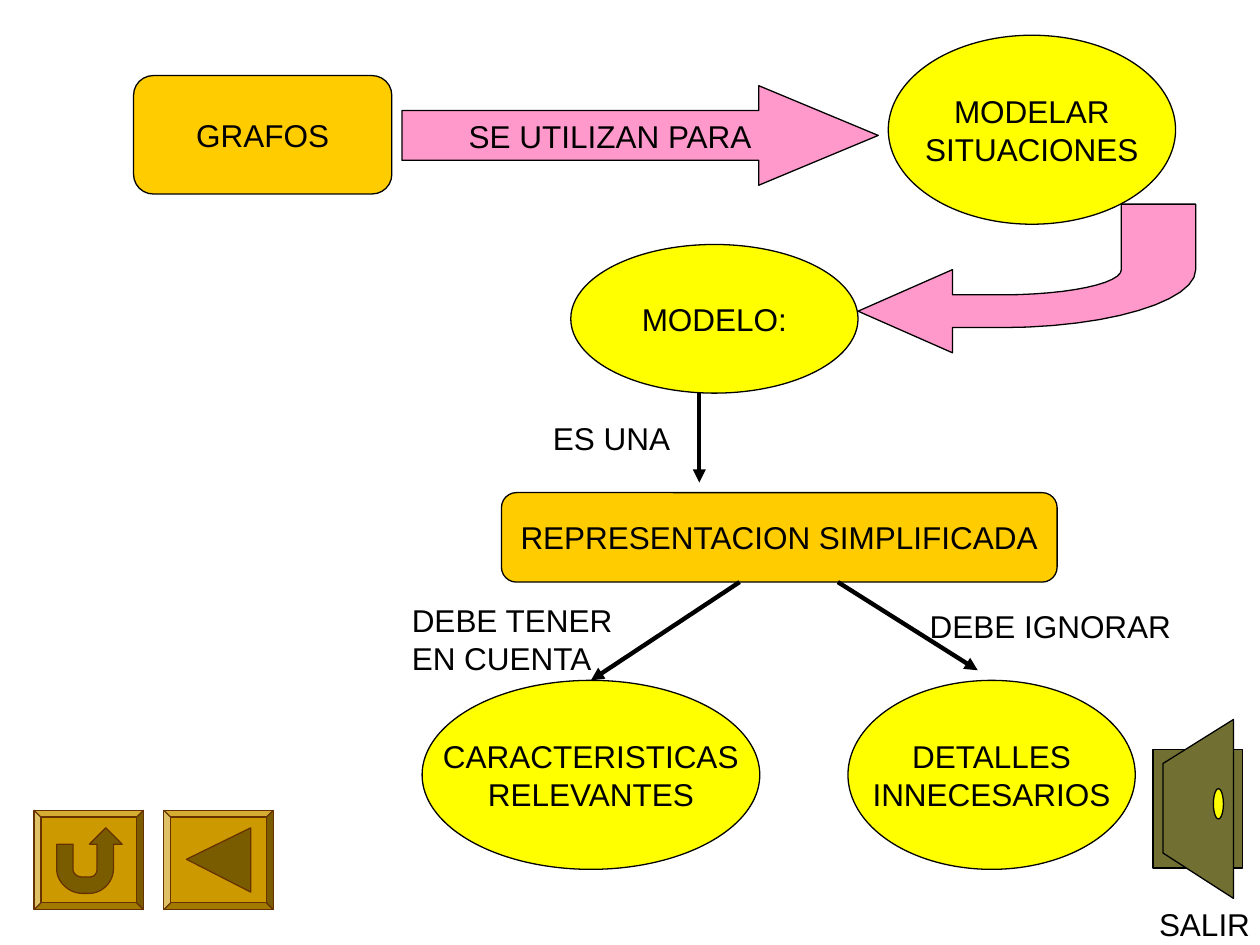
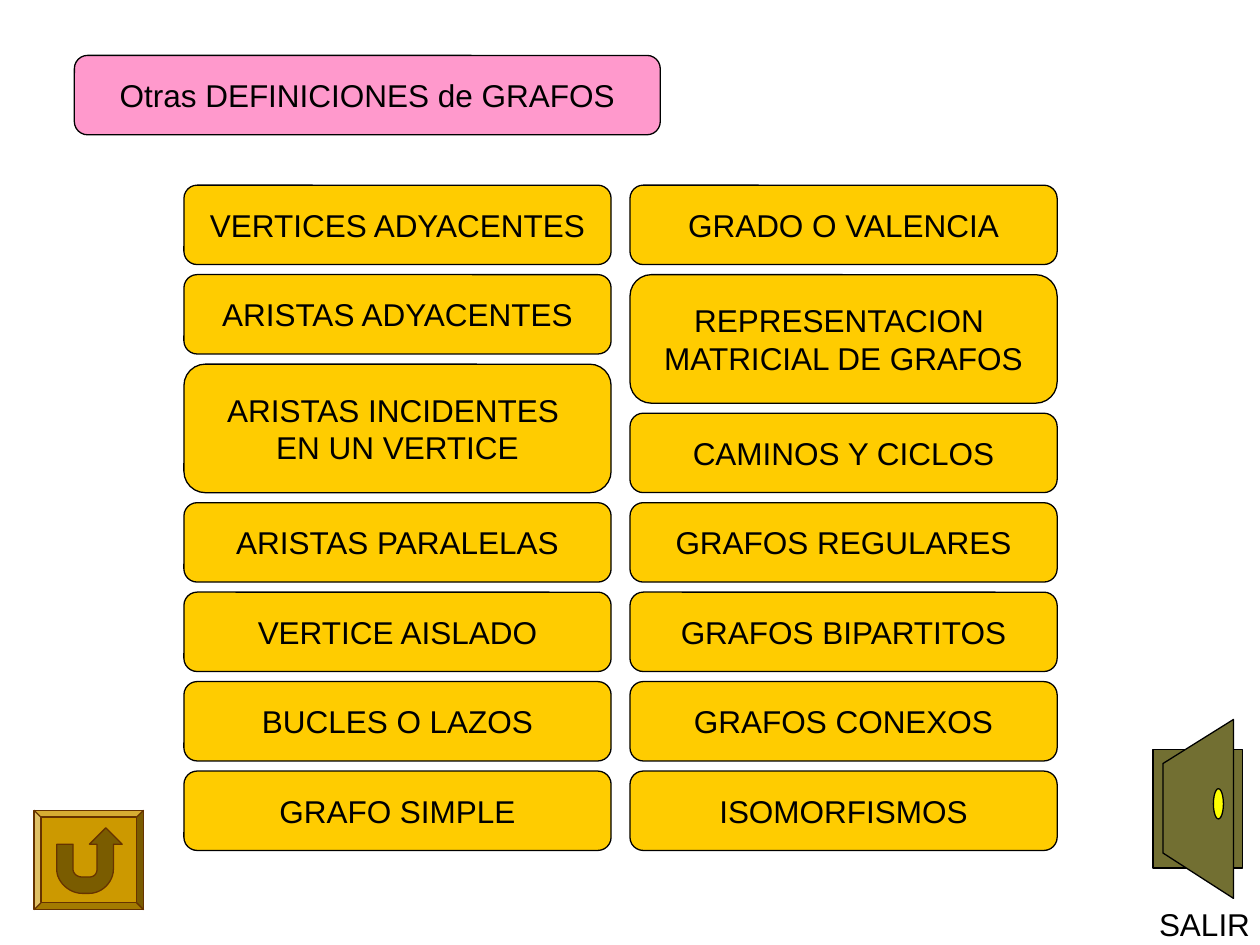
import pptx
import pptx.util
import pptx.dml.color
import pptx.enum.shapes
import pptx.enum.text
import lxml.etree

SHAPES = pptx.enum.shapes.MSO_SHAPE
ALIGN = pptx.enum.text.PP_ALIGN
inch = pptx.util.Inches

FONT, TEXT_SIZE = "Arial", 18
BLACK, ORANGE, YELLOW, PINK = "000000", "FFCC00", "FFFF00", "FF99CC"
OLIVE, GOLD, BROWN, DARK_GOLD = "726F32", "CC9900", "663300", "7A5C00"

# Concept map: preset, fill, (left, top, width, height), text
CONCEPTS = [
    (SHAPES.ROUNDED_RECTANGLE, ORANGE, (1.06, 0.6, 2.05, 0.94), "GRAFOS"),
    (SHAPES.RIGHT_ARROW, PINK, (3.19, 0.68, 3.78, 0.79), "SE UTILIZAN PARA"),
    (SHAPES.OVAL, YELLOW, (7.05, 0.28, 2.28, 1.5), "MODELAR\nSITUACIONES"),
    (SHAPES.OVAL, YELLOW, (4.53, 1.94, 2.28, 1.18), "MODELO:"),
    (SHAPES.ROUNDED_RECTANGLE, ORANGE, (3.98, 3.91, 4.41, 0.71), "REPRESENTACION SIMPLIFICADA"),
    (SHAPES.OVAL, YELLOW, (3.35, 5.4, 2.68, 1.5), "CARACTERISTICAS\nRELEVANTES"),
    (SHAPES.OVAL, YELLOW, (6.73, 5.4, 2.28, 1.5), "DETALLES\nINNECESARIOS"),
]
ARROWS = [
    ((5.87, 4.62), (4.69, 5.4)),
    ((6.65, 4.62), (7.76, 5.32)),
    ((5.55, 3.12), (5.55, 3.83)),
]
LINK_LABELS = [
    ((3.17, 4.72, 1.86, 0.7), "DEBE TENER\nEN CUENTA"),
    ((7.28, 4.77, 2.13, 0.4), "DEBE IGNORAR"),
    ((4.29, 3.28, 1.13, 0.4), "ES UNA"),
]

# Outlines: two numbers are a corner, six are a Bezier curve
BENT_ARROW = [
    (9.49, 1.62), (9.49, 2.14), (9.49, 2.39, 8.8, 2.6, 7.95, 2.6), (7.56, 2.6),
    (7.56, 2.8), (6.81, 2.47), (7.56, 2.14), (7.56, 2.34), (7.95, 2.34),
    (8.48, 2.34, 8.9, 2.25, 8.9, 2.14), (8.9, 1.62),
]
DOOR_LEAF = [(9.79, 5.71), (9.79, 7.13), (9.23, 6.77), (9.23, 6.06)]
RETURN_SIGN = [
    (0.18, 0.27), (0.31, 0.27), (0.31, 0.47), (0.31, 0.5, 0.34, 0.53, 0.38, 0.53),
    (0.44, 0.53), (0.48, 0.53, 0.5, 0.5, 0.5, 0.47), (0.5, 0.27), (0.44, 0.27),
    (0.57, 0.14), (0.7, 0.27), (0.63, 0.27), (0.63, 0.47),
    (0.63, 0.57, 0.54, 0.66, 0.44, 0.66), (0.38, 0.66),
    (0.28, 0.66, 0.18, 0.57, 0.18, 0.47),
]
BACK_SIGN = [(0.18, 0.39), (0.69, 0.14), (0.69, 0.65)]
BUTTON_TOP, BUTTON_SIZE = 6.43, (0.87, 0.79)
RETURN_LEFT, BACK_LEFT = 0.27, 1.3

DEFINITIONS_TITLE = "Otras DEFINICIONES de GRAFOS"
TITLE_PLACE = (0.59, 0.44, 4.65, 0.63)
DEFINITIONS = [
    ["VERTICES ADYACENTES", "ARISTAS ADYACENTES", "ARISTAS INCIDENTES \nEN UN VERTICE",
     "ARISTAS PARALELAS", "VERTICE AISLADO", "BUCLES O LAZOS", "GRAFO SIMPLE"],
    ["GRADO O VALENCIA", "REPRESENTACION \nMATRICIAL DE GRAFOS", "CAMINOS Y CICLOS",
     "GRAFOS REGULARES", "GRAFOS BIPARTITOS", "GRAFOS CONEXOS", "ISOMORFISMOS"],
]
GRID_LEFT, GRID_TOP, COLUMN_WIDTH, COLUMN_GAP = 1.46, 1.47, 3.39, 0.15
ROW_HEIGHTS, ROW_GAP = {1: 0.63, 2: 1.02}, 0.08


def color(value):
    return pptx.dml.color.RGBColor.from_string(value)


def paint(shape, fill, line=BLACK):
    shape.shadow.inherit = False
    shape.fill.solid()
    shape.fill.fore_color.rgb = color(fill)
    shape.line.color.rgb = color(line)
    shape.line.width = pptx.util.Pt(0.75)
    return shape


def write(shape, text, align=ALIGN.CENTER, anchor=pptx.enum.text.MSO_ANCHOR.MIDDLE):
    frame = shape.text_frame
    frame.word_wrap = False
    frame.vertical_anchor = anchor
    frame.margin_left = frame.margin_right = inch(0.1)
    frame.margin_top = frame.margin_bottom = inch(0.05)
    for index, words in enumerate(text.split("\n")):
        paragraph = frame.add_paragraph() if index else frame.paragraphs[0]
        paragraph.alignment = align
        run = paragraph.add_run()
        run.text = words
        run.font.name = FONT
        run.font.size = pptx.util.Pt(TEXT_SIZE)
        run.font.color.rgb = color(BLACK)


def add_box(slide, preset, fill, place, text="", line=BLACK):
    box = paint(slide.shapes.add_shape(preset, *map(inch, place)), fill, line)
    if text:
        write(box, text)
    return box


def add_label(slide, place, text):
    label = slide.shapes.add_textbox(*map(inch, place))
    write(label, text, ALIGN.LEFT, pptx.enum.text.MSO_ANCHOR.TOP)
    label.text_frame.auto_size = pptx.enum.text.MSO_AUTO_SIZE.SHAPE_TO_FIT_TEXT


def flatten(outline, steps=12):
    """Turn corners and Bezier curves into a plain list of points."""
    points = []
    for part in outline:
        if len(part) == 2:
            points.append(part)
            continue
        controls = [points[-1], part[:2], part[2:4], part[4:]]
        for step in range(1, steps + 1):
            t = step / steps
            weights = ((1 - t) ** 3, 3 * t * (1 - t) ** 2, 3 * t * t * (1 - t), t ** 3)
            points.append(tuple(
                sum(w * point[axis] for w, point in zip(weights, controls))
                for axis in (0, 1)))
    return points


def add_outline(slide, outline, fill, line=BLACK, left=0, top=0):
    points = [(inch(left + x), inch(top + y)) for x, y in flatten(outline)]
    builder = slide.shapes.build_freeform(*points[0], scale=1.0)
    builder.add_line_segments(points[1:], close=True)
    paint(builder.convert_to_shape(), fill, line)


def add_arrow(slide, start, end):
    arrow = slide.shapes.add_connector(
        pptx.enum.shapes.MSO_CONNECTOR.STRAIGHT, *map(inch, start + end))
    arrow.line.color.rgb = color(BLACK)
    arrow.line.width = pptx.util.Pt(2.5)
    qn = pptx.oxml.ns.qn
    lxml.etree.SubElement(arrow.line._get_or_add_ln(), qn("a:tailEnd"), type="triangle")
    lxml.etree.SubElement(arrow._element.spPr, qn("a:effectLst"))


def add_button(slide, left, sign):
    button = add_box(slide, SHAPES.BEVEL, GOLD, (left, BUTTON_TOP, *BUTTON_SIZE), line=BROWN)
    button.adjustments[0] = 0.07
    add_outline(slide, sign, DARK_GOLD, BROWN, left, BUTTON_TOP)


def add_navigation(slide):
    """Exit door and return button, the same on every slide."""
    add_box(slide, SHAPES.RECTANGLE, OLIVE, (9.15, 5.95, 0.71, 0.94))
    add_outline(slide, DOOR_LEAF, OLIVE)
    add_box(slide, SHAPES.OVAL, YELLOW, (9.63, 6.26, 0.08, 0.24))
    add_label(slide, (9.1, 7.13, 0.92, 0.4), "SALIR")
    add_button(slide, RETURN_LEFT, RETURN_SIGN)


def build_concept_map(deck):
    slide = deck.slides.add_slide(deck.slide_layouts.get_by_name("Blank"))
    for preset, fill, place, text in CONCEPTS:
        concept = add_box(slide, preset, fill, place, text)
        if preset == SHAPES.RIGHT_ARROW:
            concept.adjustments[1] = 1.2
    add_outline(slide, BENT_ARROW, PINK)
    for start, end in ARROWS:
        add_arrow(slide, start, end)
    for place, text in LINK_LABELS:
        add_label(slide, place, text)
    add_navigation(slide)
    add_button(slide, BACK_LEFT, BACK_SIGN)


def build_definitions(deck):
    slide = deck.slides.add_slide(deck.slide_layouts.get_by_name("Title Only"))
    add_box(slide, SHAPES.ROUNDED_RECTANGLE, PINK, TITLE_PLACE)
    title = slide.shapes.title
    title.left, title.top, title.width, title.height = map(inch, TITLE_PLACE)
    write(title, DEFINITIONS_TITLE)
    slide.shapes._spTree.append(title._element)  # bring the title in front of its band
    for column, definitions in enumerate(DEFINITIONS):
        left = GRID_LEFT + column * (COLUMN_WIDTH + COLUMN_GAP)
        top = GRID_TOP
        for definition in definitions:
            height = ROW_HEIGHTS[len(definition.split("\n"))]
            add_box(slide, SHAPES.ROUNDED_RECTANGLE, ORANGE,
                    (left, top, COLUMN_WIDTH, height), definition)
            top += height + ROW_GAP
    add_navigation(slide)


def main():
    deck = pptx.Presentation()
    deck.slide_width, deck.slide_height = inch(10), inch(7.5)
    build_concept_map(deck)
    build_definitions(deck)
    deck.save("out.pptx")


if __name__ == "__main__":
    main()
